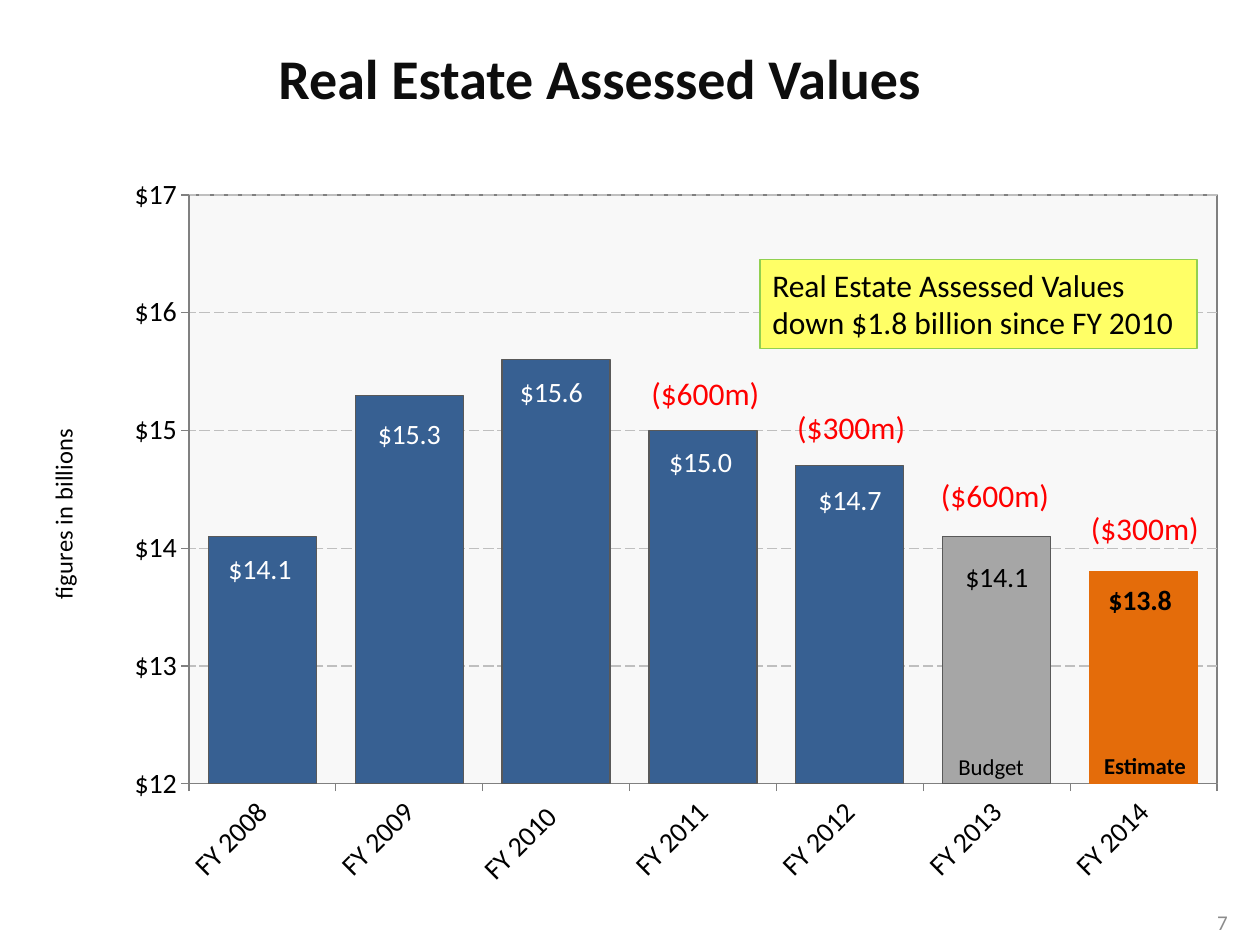
from lxml import etree
from pptx import Presentation
from pptx.chart.data import CategoryChartData
from pptx.dml.color import RGBColor
from pptx.enum.chart import XL_CHART_TYPE, XL_LABEL_POSITION, XL_TICK_MARK
from pptx.enum.dml import MSO_LINE
from pptx.enum.shapes import MSO_SHAPE
from pptx.enum.text import MSO_ANCHOR, PP_ALIGN
from pptx.oxml import parse_xml
from pptx.oxml.ns import nsdecls, qn
from pptx.util import Cm, Pt

COLORS = {
    "black": "000000", "title": "0D0D0D", "white": "FFFFFF", "red": "FF0000",
    "blue": "376092", "grey": "A6A6A6", "orange": "E46C0A", "edge": "595959",
    "grid": "BFBFBF", "axis": "808080", "plot": "F2F2F2", "note": "FFFF66",
    "green": "92D050", "number": "8C8C8C",
}
FONT = "Calibri"

# Year, value, label shift right and down (percent of chart size)
YEARS = [
    ("FY 2008", 14.1, -0.2, 1.5), ("FY 2009", 15.3, 0, 2.2),
    ("FY 2010 ", 15.6, -0.4, 1.4), ("FY 2011", 15.0, -0.2, 1.4),
    ("FY 2012", 14.7, 0, 1.7), ("FY 2013", 14.1, 0, 2.4),
    ("FY 2014", 13.8, -0.3, 0.9),
]
DROPS = [("($600m)", 12.88, 7.42), ("($300m)", 15.82, 8.1),
         ("($600m)", 18.72, 9.47), ("($300m)", 21.74, 10.13)]
STAGES = [("Budget", 18.73, 15.06, False), ("Estimate", 21.83, 15.04, True)]


def rgb(name):
    return RGBColor.from_string(COLORS[name])


def set_font(font, size, color="black", bold=False):
    font.name, font.size, font.bold = FONT, Pt(size), bold
    font.color.rgb = rgb(color)


def set_line(line, color, width=0.75):
    line.color.rgb = rgb(color)
    line.width = Pt(width)


def set_fill(fill, color):
    fill.solid()
    fill.fore_color.rgb = rgb(color)


def write(frame, text, size=18, color="black", bold=False,
          align=PP_ALIGN.LEFT, anchor=MSO_ANCHOR.TOP, wrap=False):
    frame.word_wrap = wrap
    frame.vertical_anchor = anchor
    para = frame.paragraphs[0]
    para.alignment = align
    run = para.add_run()
    run.text = text
    set_font(run.font, size, color, bold)


def layout(inner=False, edge=False, **spots):
    """Build a manual chart layout from x, y, w and h shares."""
    node = parse_xml(f"<c:layout {nsdecls('c')}><c:manualLayout/></c:layout>")
    pairs = [("layoutTarget", "inner")] if inner else []
    if inner or edge:
        pairs += [("xMode", "edge"), ("yMode", "edge")]
    for tag, val in pairs + list(spots.items()):
        etree.SubElement(node[0], qn(f"c:{tag}")).set("val", str(val))
    return node


def no_leaders(node):
    """Turn off the lines from bars to moved labels."""
    for flag in node.findall(qn("c:showLeaderLines")):
        flag.set("val", "0")
    node.append(parse_xml(
        f"<c:extLst {nsdecls('c')}>"
        "<c:ext uri='{CE6537A1-D6FC-4f65-9D91-7224C49458BB}' "
        "xmlns:c15='http://schemas.microsoft.com/office/drawing/2012/chart'>"
        "<c15:showLeaderLines val='0'/></c:ext></c:extLst>"))


class Page:
    def __init__(self, deck):
        self.slide = deck.slides.add_slide(deck.slide_layouts[5])
        self.shapes = self.slide.shapes

    def title(self, text, box):
        shape = self.shapes.title
        shape.left, shape.top, shape.width, shape.height = map(Cm, box)
        write(shape.text_frame, text, size=32, color="title", bold=True)

    def text(self, text, box, **style):
        shape = self.shapes.add_textbox(*map(Cm, box))
        write(shape.text_frame, text, **style)

    def note(self, text, box):
        shape = self.shapes.add_shape(MSO_SHAPE.RECTANGLE, *map(Cm, box))
        shape.shadow.inherit = False
        set_fill(shape.fill, "note")
        set_line(shape.line, "green")
        write(shape.text_frame, text, wrap=True)

    def chart(self, box):
        data = CategoryChartData(number_format="General")
        data.categories = [row[0] for row in YEARS]
        data.add_series("Series 1", [row[1] for row in YEARS])
        chart = self.shapes.add_chart(
            XL_CHART_TYPE.COLUMN_CLUSTERED, *map(Cm, box), data).chart
        chart.has_legend = chart.has_title = False
        set_font(chart.font, 18)
        plot = chart.plots[0]
        plot.gap_width = 36
        plot.vary_by_categories = False
        self.axes(chart)
        self.bars(plot.series[0])
        self.labels(chart, plot.series[0])
        self.area(chart)

    def axes(self, chart):
        for axis in (chart.category_axis, chart.value_axis):
            set_font(axis.tick_labels.font, 16)
            axis.major_tick_mark = XL_TICK_MARK.OUTSIDE
            set_line(axis.format.line, "axis")
        body = chart.element.xpath("//c:catAx/c:txPr/a:bodyPr")[0]
        body.set("rot", "-2700000")
        axis = chart.value_axis
        axis.minimum_scale, axis.maximum_scale, axis.major_unit = 12, 17, 1
        axis.tick_labels.number_format = "\\$#,##0"
        axis.tick_labels.number_format_is_linked = False
        line = axis.major_gridlines.format.line
        set_line(line, "grid")
        line.dash_style = MSO_LINE.LONG_DASH
        run = axis.axis_title.text_frame.paragraphs[0].add_run()
        run.text = "figures in billions"
        set_font(run.font, 14)
        head = chart.element.xpath("//c:valAx/c:title")[0]
        for old in head.findall(qn("c:layout")):
            head.remove(old)
        head.find(qn("c:tx")).addnext(layout(edge=True, x=0, y=0.37))
        body = head.xpath(".//a:bodyPr")[0]
        body.set("rot", "-5400000")
        body.set("vert", "horz")

    def bars(self, series):
        set_fill(series.format.fill, "blue")
        set_line(series.format.line, "edge")
        for spot, color, edge in ((5, "grey", "edge"), (6, "orange", "orange")):
            look = series.points[spot].format
            set_fill(look.fill, color)
            set_line(look.line, edge)

    def labels(self, chart, series):
        labels = series.data_labels
        labels.show_value = True
        labels.number_format = "\\$#,##0.0"
        labels.number_format_is_linked = False
        labels.position = XL_LABEL_POSITION.INSIDE_END
        set_font(labels.font, 16, "white")
        for spot in range(len(YEARS)):
            label = series.points[spot].data_label
            set_font(label.font, 16, "white" if spot < 5 else "black", spot == 6)
            label.position = XL_LABEL_POSITION.INSIDE_END
        group = chart.element.xpath("//c:ser/c:dLbls")[0]
        form = etree.tostring(group.find(qn("c:numFmt")))
        for node, (_, _, right, down) in zip(group.findall(qn("c:dLbl")), YEARS):
            idx = node.find(qn("c:idx"))
            idx.addnext(parse_xml(form))
            idx.addnext(layout(x=right / 100, y=down / 100))
        no_leaders(group)

    def area(self, chart):
        area = chart.element.xpath("//c:plotArea")[0]
        for old in area.findall(qn("c:layout")):
            area.remove(old)
        area.insert(0, layout(inner=True, x=0.123, y=0.087, w=0.859, h=0.727))
        area.append(parse_xml(
            f"<c:spPr {nsdecls('c', 'a')}><a:solidFill>"
            f"<a:srgbClr val='{COLORS['plot']}'><a:alpha val='51000'/></a:srgbClr>"
            f"</a:solidFill><a:ln w='9525'><a:solidFill>"
            f"<a:srgbClr val='{COLORS['axis']}'/></a:solidFill></a:ln></c:spPr>"))


def main():
    deck = Presentation()
    deck.slide_width, deck.slide_height = Cm(25.4), Cm(19.05)
    page = Page(deck)
    page.chart((0.84, 2.51, 24.13, 16.33))
    page.title("Real Estate Assessed Values", (5.36, 0.74, 13.56, 1.63))
    page.note("Real Estate Assessed Values down $1.8 billion since FY 2010",
              (15.32, 5.23, 8.81, 1.8))
    for name, left, top, bold in STAGES:
        page.text(name, (left, top, 2.5, 0.89), size=13, bold=bold,
                  align=PP_ALIGN.CENTER)
    for drop, left, top in DROPS:
        page.text(drop, (left, top, 2.72, 1.02), color="red")
    page.text("7", (19.08, 18.08, 5.92, 1.02), size=12, color="number",
              align=PP_ALIGN.RIGHT, anchor=MSO_ANCHOR.MIDDLE, wrap=True)
    deck.save("out.pptx")


if __name__ == "__main__":
    main()
